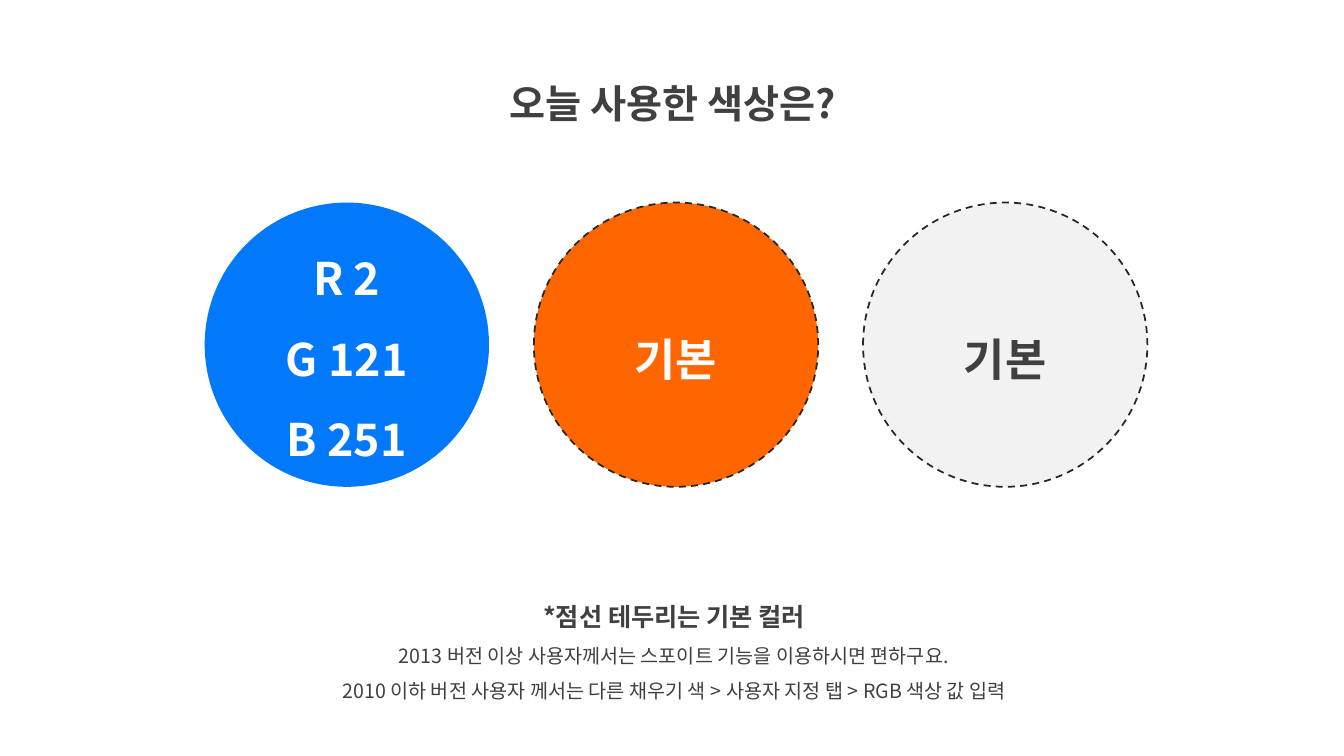
from lxml.etree import SubElement
from pptx import Presentation
from pptx.dml.color import RGBColor
from pptx.enum.dml import MSO_LINE_DASH_STYLE as Dash
from pptx.enum.shapes import MSO_SHAPE as Shape
from pptx.enum.text import MSO_ANCHOR as Anchor, MSO_AUTO_SIZE as AutoSize, PP_ALIGN as Align
from pptx.oxml.ns import qn
from pptx.util import Inches, Pt

FONT = "Noto Sans CJK KR"
DARK = "404040"
WHITE = "FFFFFF"
OUTLINE = "262626"

CIRCLES = [
    (["R 2", "G 121", "B 251"], "0279FB", WHITE, False),
    (["기본"], "FF6600", WHITE, True),
    (["기본"], "F2F2F2", DARK, True),
]
NOTES = [
    ("*점선 테두리는 기본 컬러", 18, True),
    ("2013 버전 이상 사용자께서는 스포이트 기능을 이용하시면 편하구요.", 14, False),
    ("2010 이하 버전 사용자 께서는 다른 채우기 색 > 사용자 지정 탭 > RGB 색상 값 입력", 14, False),
]


def color(value):
    return RGBColor.from_string(value)


def write_lines(frame, lines, ink):
    frame.word_wrap = True
    for index, (text, size, bold) in enumerate(lines):
        para = frame.add_paragraph() if index else frame.paragraphs[0]
        para.alignment = Align.CENTER
        para.line_spacing = 1.5
        span = para.add_run()
        span.text = text
        span.font.size = Pt(size)
        span.font.bold = bold
        span.font.color.rgb = color(ink)
        span.font.name = FONT
        SubElement(span.font._element, qn("a:ea"), typeface=FONT)


def add_title(page, left, top, width, height):
    title = page.shapes.title
    title.left, title.top = Inches(left), Inches(top)
    title.width, title.height = Inches(width), Inches(height)
    frame = title.text_frame
    frame.auto_size = AutoSize.NONE
    frame.vertical_anchor = Anchor.TOP
    write_lines(frame, [("오늘 사용한 색상은?", 28, True)], DARK)


def add_circles(page, left, top, diameter, pitch):
    for index, (labels, fill, ink, dashed) in enumerate(CIRCLES):
        circle = page.shapes.add_shape(
            Shape.OVAL, Inches(left + index * pitch), Inches(top),
            Inches(diameter), Inches(diameter))
        circle.shadow.inherit = False
        circle.fill.solid()
        circle.fill.fore_color.rgb = color(fill)
        if dashed:
            circle.line.color.rgb = color(OUTLINE)
            circle.line.width = Pt(1.25)
            circle.line.dash_style = Dash.DASH
        else:
            circle.line.fill.background()
        circle.text_frame.vertical_anchor = Anchor.MIDDLE
        write_lines(circle.text_frame, [(label, 32, True) for label in labels], ink)


def add_notes(page, left, top, width, height):
    box = page.shapes.add_textbox(Inches(left), Inches(top), Inches(width), Inches(height))
    write_lines(box.text_frame, NOTES, DARK)


def main():
    deck = Presentation()
    deck.slide_width, deck.slide_height = Inches(13.33), Inches(7.5)
    page = deck.slides.add_slide(deck.slide_layouts[5])
    add_title(page, 4.36, 0.5, 4.63, 0.72)
    add_notes(page, 2.69, 5.77, 7.99, 1.26)
    add_circles(page, 2.03, 2.01, 2.82, 3.265)
    deck.save("out.pptx")


if __name__ == "__main__":
    main()
